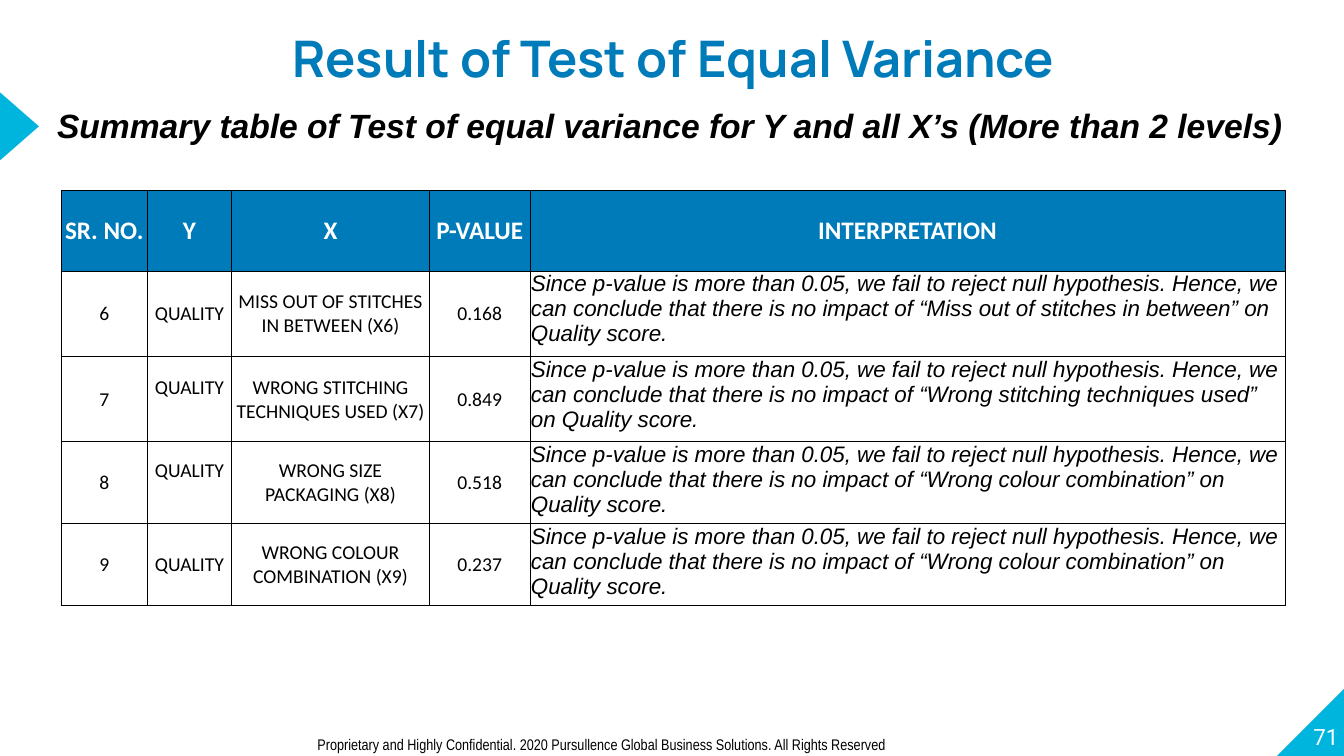
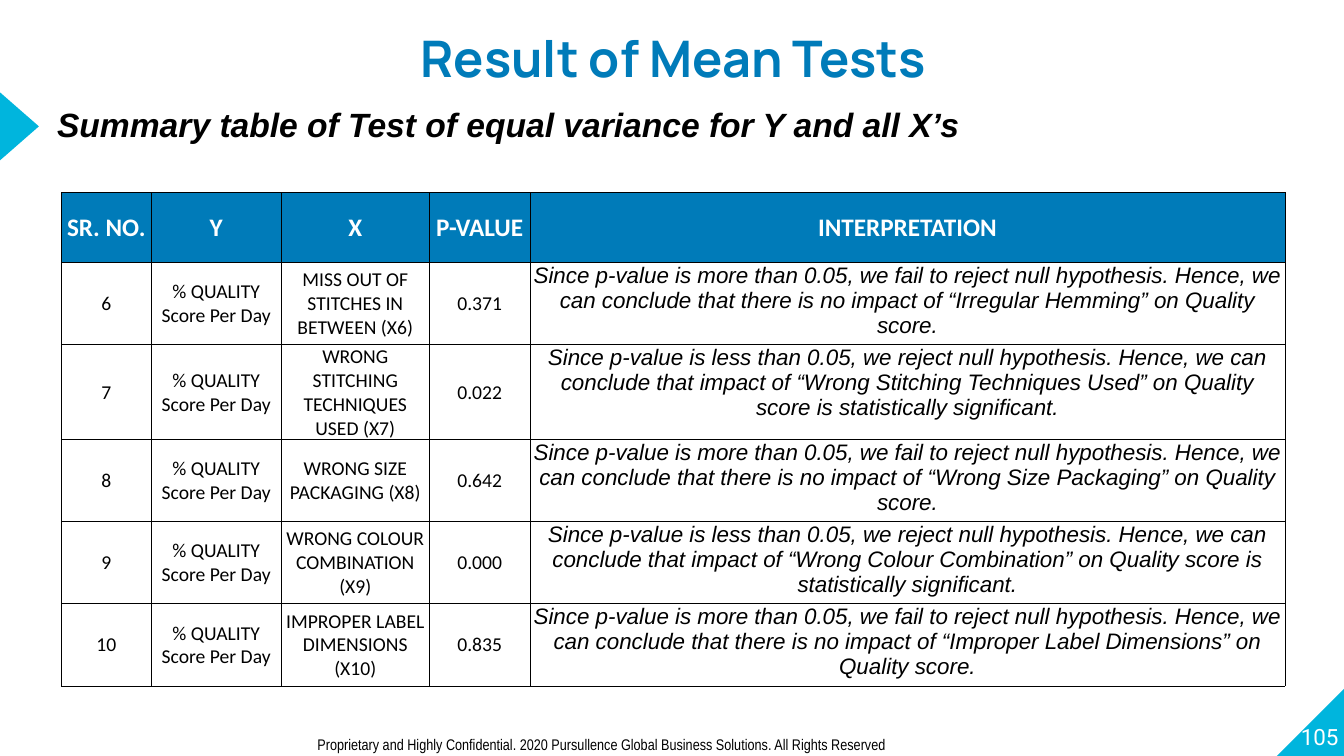
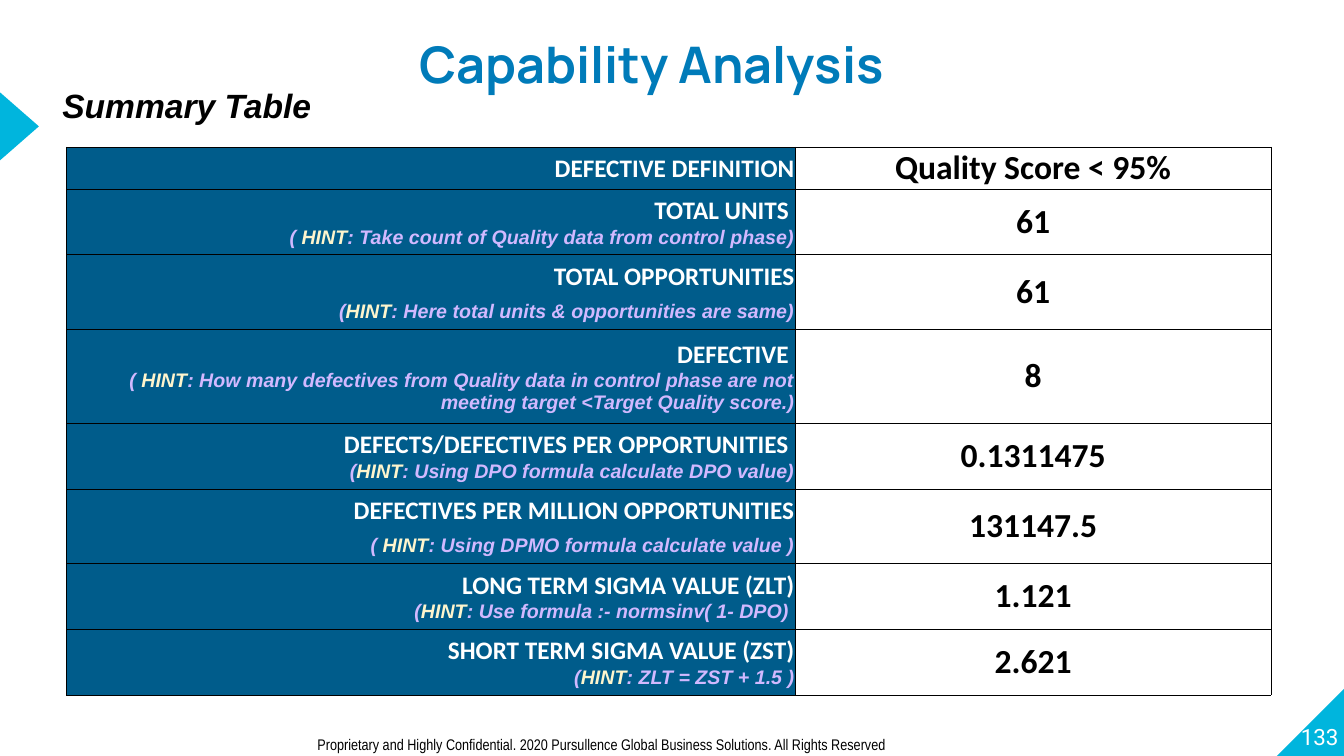
import pptx
import pptx.util
import pptx.dml.color
import pptx.enum.shapes
import pptx.enum.text
import pptx.oxml
import pptx.oxml.ns

Cm, Pt = pptx.util.Cm, pptx.util.Pt
ALIGN = pptx.enum.text.PP_ALIGN
ANCHOR = pptx.enum.text.MSO_ANCHOR
SHAPE = pptx.enum.shapes.MSO_SHAPE

BLUE, NAVY, CYAN = "007BB9", "005C8B", "00B5DD"
LILAC, CREAM, WHITE, BLACK = "D1B9FF", "FEF5CD", "FFFFFF", "000000"

FOOTER = ("Proprietary and Highly Confidential. 2020 Pursullence Global "
          "Business Solutions. All Rights Reserved")
HEADS = ["SR. NO.", "Y", "X", "P-VALUE", "INTERPRETATION"]
MORE = ("Since p-value is more than 0.05, we fail to reject null hypothesis. "
        "Hence, we can conclude that there is no impact of “{}” on Quality score.")
LESS = ("Since p-value is less than 0.05, we reject null hypothesis. "
        "Hence, we can conclude that impact of “{}” on Quality score is "
        "statistically significant.")

# number, factor, p-value, factor as quoted, lift of the Y label in cm
EQUAL = [
    (6, "MISS OUT OF STITCHES IN BETWEEN", "0.168", "Miss out of stitches in between", 0),
    (7, "WRONG STITCHING TECHNIQUES USED", "0.849", "Wrong stitching techniques used", 0.6),
    (8, "WRONG SIZE PACKAGING", "0.518", "Wrong colour combination", 0.6),
    (9, "WRONG COLOUR COMBINATION", "0.237", "Wrong colour combination", 0),
]
MEANS = [
    (6, "MISS OUT OF STITCHES IN BETWEEN", "0.371", "Irregular Hemming", 0),
    (7, "WRONG STITCHING TECHNIQUES USED", "0.022", "Wrong Stitching Techniques Used", 0),
    (8, "WRONG SIZE PACKAGING", "0.642", "Wrong Size Packaging", 0),
    (9, "WRONG COLOUR COMBINATION", "0.000", "Wrong Colour Combination", 0),
    (10, "IMPROPER LABEL DIMENSIONS", "0.835", "Improper Label Dimensions", 0),
]
# label, hint, space above the hint in points, value
SIGMA = [
    ("DEFECTIVE DEFINITION", "", 0, "Quality Score < 95%"),
    ("TOTAL UNITS ", "( HINT: Take count of Quality data from control phase)", 0, "61"),
    ("TOTAL OPPORTUNITIES", "(HINT: Here total units & opportunities are same)", 6, "61"),
    ("DEFECTIVE ", "( HINT: How many defectives from Quality data in control phase "
     "are not meeting target <Target Quality score.)", 0, "8"),
    ("DEFECTS/DEFECTIVES PER OPPORTUNITIES ",
     "(HINT: Using DPO formula calculate DPO value)", 0, "0.1311475"),
    ("DEFECTIVES PER MILLION OPPORTUNITIES",
     "( HINT: Using DPMO formula calculate value )", 6, "131147.5"),
    ("LONG TERM SIGMA VALUE (ZLT)", "(HINT: Use formula :- normsinv( 1- DPO) ", 0, "1.121"),
    ("SHORT TERM SIGMA VALUE (ZST)", "(HINT: ZLT = ZST + 1.5 )", 0, "2.621"),
]
# boxes are left, top, width, height in cm
PAGES = [
    dict(no=71, title="Result of Test of Equal Variance", spot=(1.55, -0.08, 30.84, 1.93),
         head="Summary table of Test of equal variance for Y and all X’s (More than 2 levels)",
         place=(1.19, 2.51, 32.08, 1.27), at=(1.55, 4.8),
         cols=[2.16, 2.13, 4.98, 2.54, 19.02], rows=[2.03, 2.15, 2.15, 2.07, 2.05],
         tests=EQUAL, goal="QUALITY", align=ALIGN.LEFT),
    dict(no=105, title="Result of Mean Tests", spot=(1.55, -0.08, 30.84, 1.93),
         head="Summary table of Test of equal variance for Y and all X’s",
         place=(1.19, 2.49, 32.08, 1.27), at=(1.55, 4.85),
         cols=[2.26, 3.28, 3.73, 2.54, 19.02], rows=[1.76, 2.07, 2.39, 2.07, 2.07, 2.07],
         tests=MEANS, goal="% QUALITY Score Per Day", align=ALIGN.CENTER),
    dict(no=133, title="Capability Analysis", spot=(4.09, 0.08, 24.66, 1.93),
         head="Summary Table", place=(1.32, 2.01, 13.89, 1.27), at=(1.68, 3.71),
         cols=[18.36, 11.99], rows=[1.05, 1.66, 1.87, 2.37, 1.66, 1.87, 1.66, 1.66]),
]


def rgb(code):
    return pptx.dml.color.RGBColor.from_string(code)


def style(para, face, size, color, bold=False, italic=False, align=ALIGN.LEFT):
    para.alignment = align
    font = para.font
    font.name, font.size = face, Pt(size)
    font.bold, font.italic = bold, italic
    font.color.rgb = rgb(color)


def inset(frame, size):
    frame.margin_left = frame.margin_right = Cm(size)
    frame.margin_top = frame.margin_bottom = Cm(size)


def label(slide, box, text, *look, **more):
    frame = slide.shapes.add_textbox(*map(Cm, box)).text_frame
    frame.word_wrap = True
    frame.text = text
    style(frame.paragraphs[0], *look, **more)
    return frame


def decorate(master, slide):
    """Draw the cyan corner and arrow, then move them to the master."""
    corner = slide.shapes.add_shape(
        SHAPE.RIGHT_TRIANGLE, Cm(32.18), Cm(17.32), Cm(1.73), Cm(1.73))
    corner._element.spPr.xfrm.set("flipH", "1")
    arrow = slide.shapes.add_shape(
        SHAPE.ISOSCELES_TRIANGLE, Cm(-0.38), Cm(2.69), Cm(1.73), Cm(0.99))
    arrow.rotation = 90
    for shape in (corner, arrow):
        shape.shadow.inherit = False
        shape.fill.solid()
        shape.fill.fore_color.rgb = rgb(CYAN)
        shape.line.fill.background()
        master.shapes._spTree.append(shape._element)


def frame_page(slide, page):
    """Set the title, heading, footer and page number."""
    title = slide.shapes.title
    title.left, title.top, title.width, title.height = map(Cm, page["spot"])
    frame = title.text_frame
    frame.text = page["title"]
    frame.auto_size = pptx.enum.text.MSO_AUTO_SIZE.NONE
    frame.vertical_anchor = ANCHOR.TOP
    inset(frame, 0)
    para = frame.paragraphs[0]
    para.line_spacing = 1.5
    style(para, "Manrope", 36, BLUE, bold=True, align=ALIGN.CENTER)
    label(slide, page["place"], page["head"], "Arial", 24, BLACK, bold=True, italic=True)
    label(slide, (7.75, 18.39, 21.62, 0.74), FOOTER, "Arial Narrow", 11, BLACK)
    number = label(slide, (32.03, 17.17, 1.7, 1.73), str(page["no"]),
                   "Roboto", 16, WHITE, align=ALIGN.RIGHT)
    number.vertical_anchor = ANCHOR.BOTTOM
    inset(number, 0)


def prepare(cell, fill):
    """Give a cell its thin black borders, margins and fill."""
    props = cell._tc.get_or_add_tcPr()
    for side in "LRTB":
        props.append(pptx.oxml.parse_xml(
            f'<a:ln{side} {pptx.oxml.ns.nsdecls("a")} w="6350"><a:solidFill>'
            f'<a:srgbClr val="{BLACK}"/></a:solidFill></a:ln{side}>'))
    inset(cell, 0.02)
    cell.margin_bottom = 0
    cell.vertical_anchor = ANCHOR.MIDDLE
    cell.fill.solid()
    cell.fill.fore_color.rgb = rgb(fill)


def write(cell, text, *look, fill=WHITE, align=ALIGN.CENTER, **more):
    prepare(cell, fill)
    cell.text = text
    style(cell.text_frame.paragraphs[0], *look, align=align, **more)


def add_grid(slide, page):
    cols, rows = page["cols"], page["rows"]
    grid = slide.shapes.add_table(
        len(rows), len(cols), *map(Cm, page["at"]), Cm(sum(cols)), Cm(sum(rows))).table
    grid.first_row = grid.horz_banding = False
    for col, width in zip(grid.columns, cols):
        col.width = Cm(width)
    for row, height in zip(grid.rows, rows):
        row.height = Cm(height)
    return grid


def fill_tests(grid, page):
    for col, head in enumerate(HEADS):
        write(grid.cell(0, col), head, "Calibri", 18, WHITE, bold=True, fill=BLUE)
    for row, (no, factor, value, quote, lift) in enumerate(page["tests"], 1):
        facts = [str(no), page["goal"], f"{factor} (X{no})", value]
        for col, fact in enumerate(facts):
            write(grid.cell(row, col), fact, "Calibri", 14, BLACK)
        grid.cell(row, 1).margin_bottom = Cm(lift)
        verdict = (LESS if float(value) < 0.05 else MORE).format(quote)
        cell = grid.cell(row, 4)
        write(cell, verdict, "Arial", 16, BLACK, italic=True, align=page["align"])
        cell.vertical_anchor = ANCHOR.TOP


def fill_sigma(grid):
    for row, (name, hint, gap, value) in enumerate(SIGMA):
        cell = grid.cell(row, 0)
        write(cell, name, "Calibri", 18, WHITE, bold=True, fill=NAVY, align=ALIGN.RIGHT)
        write(grid.cell(row, 1), value, "Calibri", 24, BLACK, bold=True)
        if hint:
            para = cell.text_frame.add_paragraph()
            para.space_before = Pt(gap)
            style(para, "Arial", 14, LILAC, bold=True, italic=True, align=ALIGN.RIGHT)
            for part in hint.partition("HINT"):
                run = para.add_run()
                run.text = part
                if part == "HINT":
                    run.font.color.rgb = rgb(CREAM)


def main():
    deck = pptx.Presentation()
    deck.slide_width, deck.slide_height = Cm(33.87), Cm(19.05)
    for page in PAGES:
        slide = deck.slides.add_slide(deck.slide_layouts[5])
        if page is PAGES[0]:
            decorate(deck.slide_master, slide)
        frame_page(slide, page)
        grid = add_grid(slide, page)
        if "tests" in page:
            fill_tests(grid, page)
        else:
            fill_sigma(grid)
    deck.save("out.pptx")


if __name__ == "__main__":
    main()
